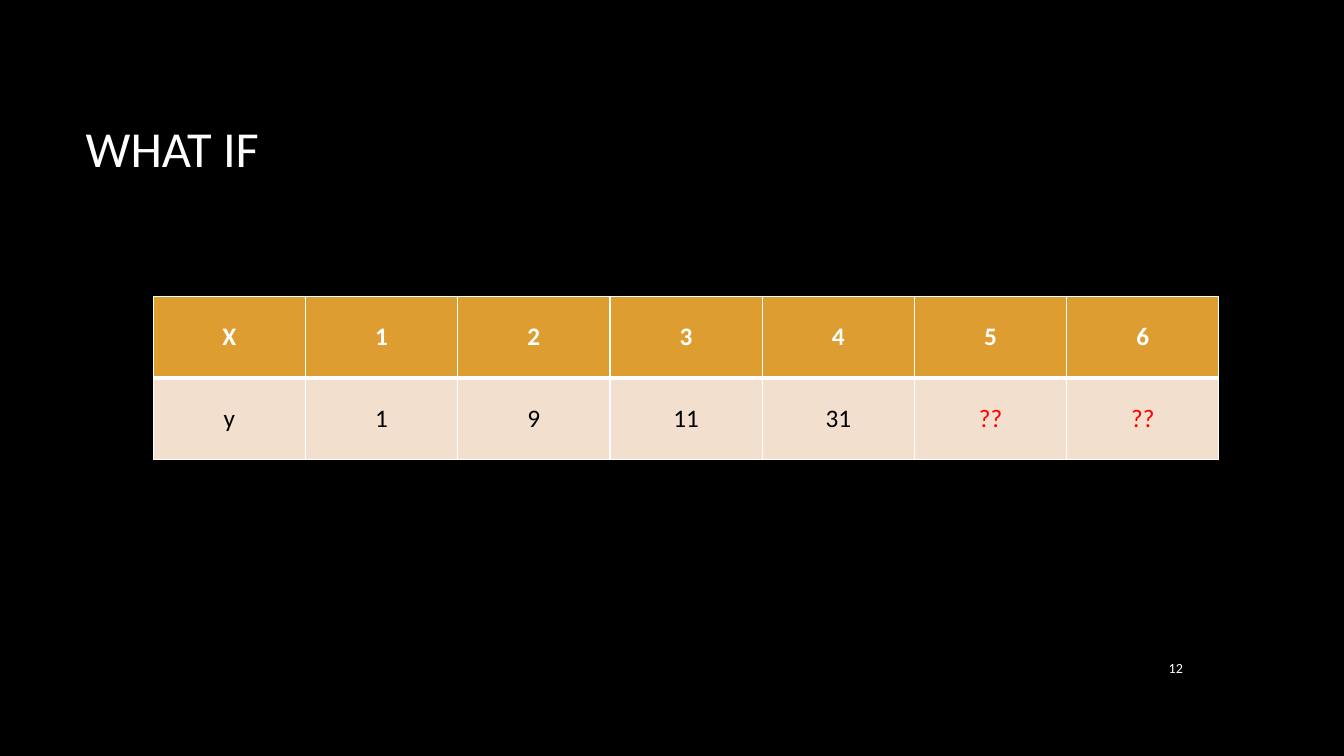
from lxml import etree
from pptx import Presentation
from pptx.dml.color import RGBColor as RGB
from pptx.enum.text import MSO_ANCHOR as Anchor, PP_ALIGN as Align
from pptx.oxml.ns import qn
from pptx.util import Inches, Pt

TITLE = "WHAT IF"
NUMBER = "12"
ROWS = [
    ["X", "1", "2", "3", "4", "5", "6"],
    ["y", "1", "9", "11", "31", "??", "??"],
]
COLORS = {
    "back": "000000", "light": "FFFFFF", "dark": "000000",
    "head": "DD9D31", "body": "F2DFCE", "open": "FF0000",
}
FONT = "Calibri"
COL_W, ROW_H = 1.51, 0.81


def color(name):
    return RGB.from_string(COLORS[name])


def write(frame, text, size, tone, align, bold=False):
    frame.text = text
    frame.vertical_anchor = Anchor.MIDDLE
    par = frame.paragraphs[0]
    par.alignment = align
    font = par.runs[0].font
    font.name, font.size, font.bold = FONT, Pt(size), bold
    font.color.rgb = color(tone)


def border(cell, widths):
    """Draw light cell edges; widths maps L, R, T and B to points."""
    props = cell._tc.get_or_add_tcPr()
    for side, width in widths.items():
        line = etree.SubElement(props, qn(f"a:ln{side}"), w=str(Pt(width)))
        fill = etree.SubElement(line, qn("a:solidFill"))
        etree.SubElement(fill, qn("a:srgbClr"), val=COLORS["light"])


def add_grid(slide):
    count, width = len(ROWS), len(ROWS[0])
    table = slide.shapes.add_table(
        count, width, Inches(1.52), Inches(2.94),
        Inches(COL_W * width), Inches(ROW_H * count)).table
    for r, row in enumerate(ROWS):
        head = r == 0
        for c, text in enumerate(row):
            cell = table.cell(r, c)
            tone = "light" if head else "open" if text == "??" else "dark"
            write(cell.text_frame, text, 18, tone, Align.CENTER, head)
            cell.vertical_anchor = Anchor.MIDDLE
            border(cell, {"L": 1, "R": 1, "T": 1 if head else 3,
                          "B": 3 if head else 1})
            cell.fill.solid()
            cell.fill.fore_color.rgb = color("head" if head else "body")


def main():
    deck = Presentation()
    deck.slide_width, deck.slide_height = Inches(13.33), Inches(7.5)
    slide = deck.slides.add_slide(deck.slide_layouts[5])
    slide.background.fill.solid()
    slide.background.fill.fore_color.rgb = color("back")

    title = slide.shapes.title
    title.left, title.top = Inches(0.75), Inches(0.67)
    title.width, title.height = Inches(11.08), Inches(1.59)
    write(title.text_frame, TITLE, 36, "light", Align.LEFT)

    box = slide.shapes.add_textbox(
        Inches(11.23), Inches(6.42), Inches(0.6), Inches(0.41))
    box.text_frame.word_wrap = True
    write(box.text_frame, NUMBER, 10, "light", Align.RIGHT)

    add_grid(slide)
    deck.save("out.pptx")


if __name__ == "__main__":
    main()
